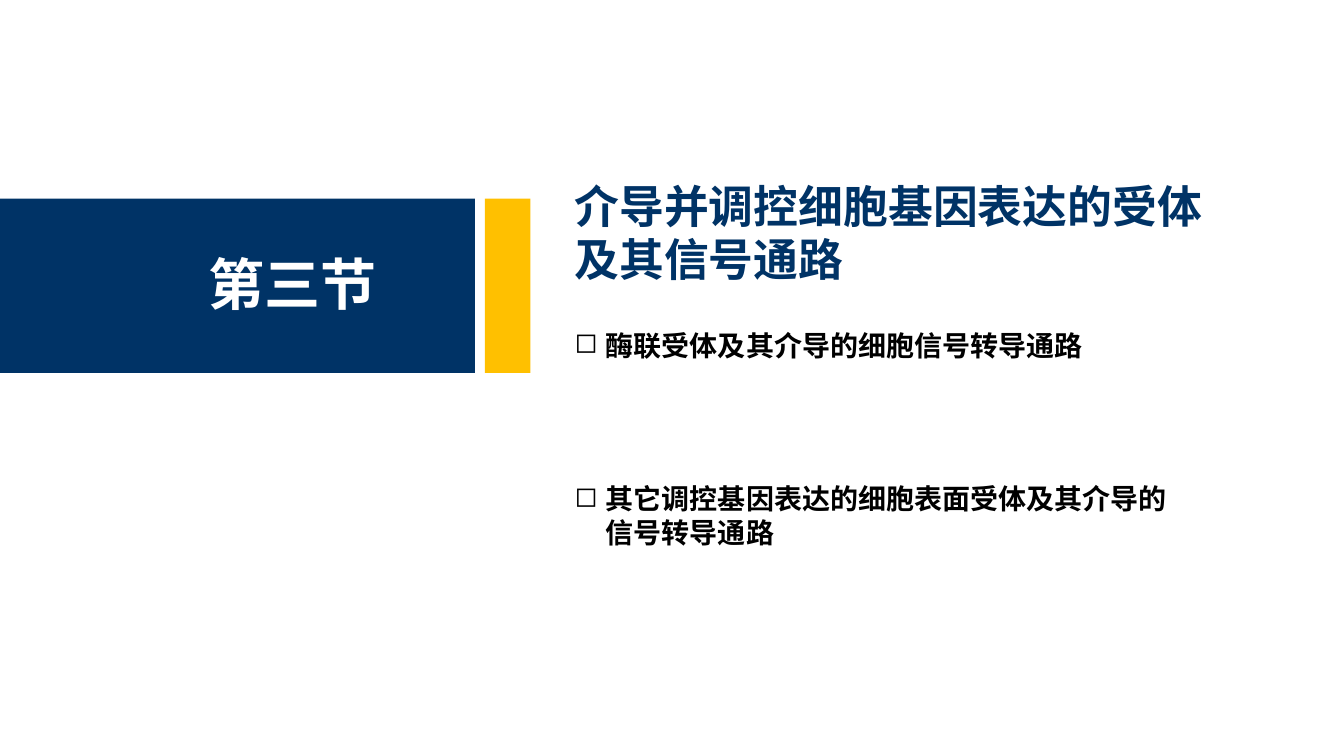
from lxml import etree
from pptx import Presentation
from pptx.dml.color import RGBColor
from pptx.enum.shapes import MSO_SHAPE
from pptx.oxml.ns import qn
from pptx.util import Inches, Pt

RECTANGLE = MSO_SHAPE.RECTANGLE
NAVY = RGBColor(0x00, 0x33, 0x66)
GOLD = RGBColor(0xFF, 0xC0, 0x00)
WHITE = RGBColor(0xFF, 0xFF, 0xFF)
BLACK = RGBColor(0x00, 0x00, 0x00)
FONT = "Noto Sans CJK SC"
BULLET = "◻"
INDENT = Inches(0.31)


def add_bar(slide, left, top, width, height, color):
    sp = slide.shapes.add_shape(
        RECTANGLE, Inches(left), Inches(top), Inches(width), Inches(height))
    sp.shadow.inherit = False
    sp.fill.solid()
    sp.fill.fore_color.rgb = color
    sp.line.fill.background()


def add_text(slide, left, top, width, height, text, size, color,
             wrap=True, bullet=False):
    sp = slide.shapes.add_textbox(
        Inches(left), Inches(top), Inches(width), Inches(height))
    tf = sp.text_frame
    tf.word_wrap = wrap
    tf.text = text
    p = tf.paragraphs[0]
    if bullet:
        pPr = p._p.get_or_add_pPr()
        pPr.set("marL", str(INDENT))
        pPr.set("indent", str(-INDENT))
        etree.SubElement(pPr, qn("a:buChar")).set("char", BULLET)
    r = p.runs[0]
    r.font.size = Pt(size)
    r.font.bold = True
    r.font.color.rgb = color
    r.font.name = FONT
    etree.SubElement(r.font._element, qn("a:ea")).set("typeface", FONT)


def add_section_banner(slide, top, height):
    navy_width, gap, gold_width = 4.71, 0.1, 0.45
    add_bar(slide, 0, top, navy_width, height, NAVY)
    add_bar(slide, navy_width + gap, top, gold_width, height, GOLD)
    add_text(slide, 1.97, top + 0.46, 1.88, 0.77, "第三节", 40, WHITE, wrap=False)


def add_section_contents(slide, left, top):
    add_text(slide, left, top, 6.47, 1.18,
             "介导并调控细胞基因表达的受体及其信号通路", 32, NAVY)
    topics = [
        (1.49, 5.29, 0.44, "酶联受体及其介导的细胞信号转导通路"),
        (3.01, 6.11, 0.77, "其它调控基因表达的细胞表面受体及其介导的信号转导通路"),
    ]
    for offset, width, height, topic in topics:
        add_text(slide, left, top + offset, width, height, topic, 20, BLACK,
                 bullet=True)


def main():
    prs = Presentation()
    prs.slide_width = Inches(13.33)
    prs.slide_height = Inches(7.5)
    slide = prs.slides.add_slide(prs.slide_layouts[6])
    add_section_banner(slide, 1.97, 1.73)
    add_section_contents(slide, 5.6, 1.72)
    prs.save("out.pptx")


if __name__ == "__main__":
    main()
